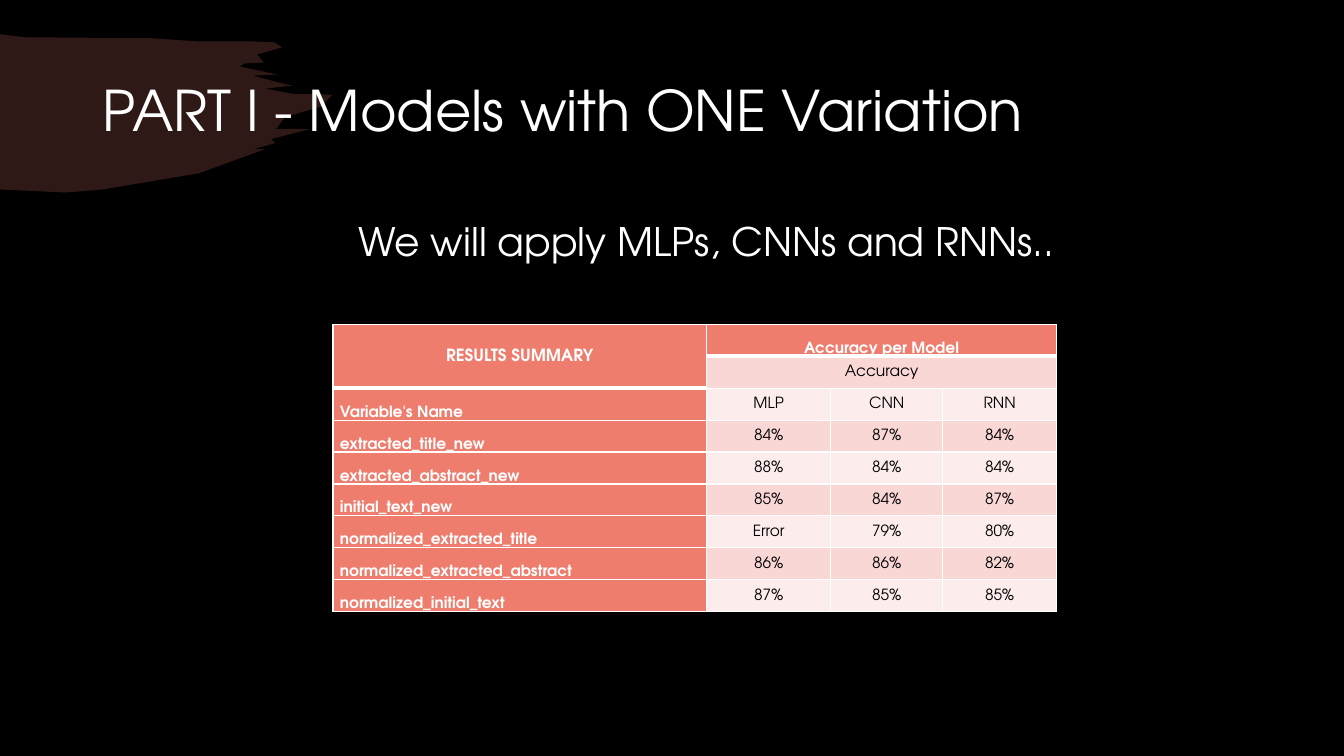
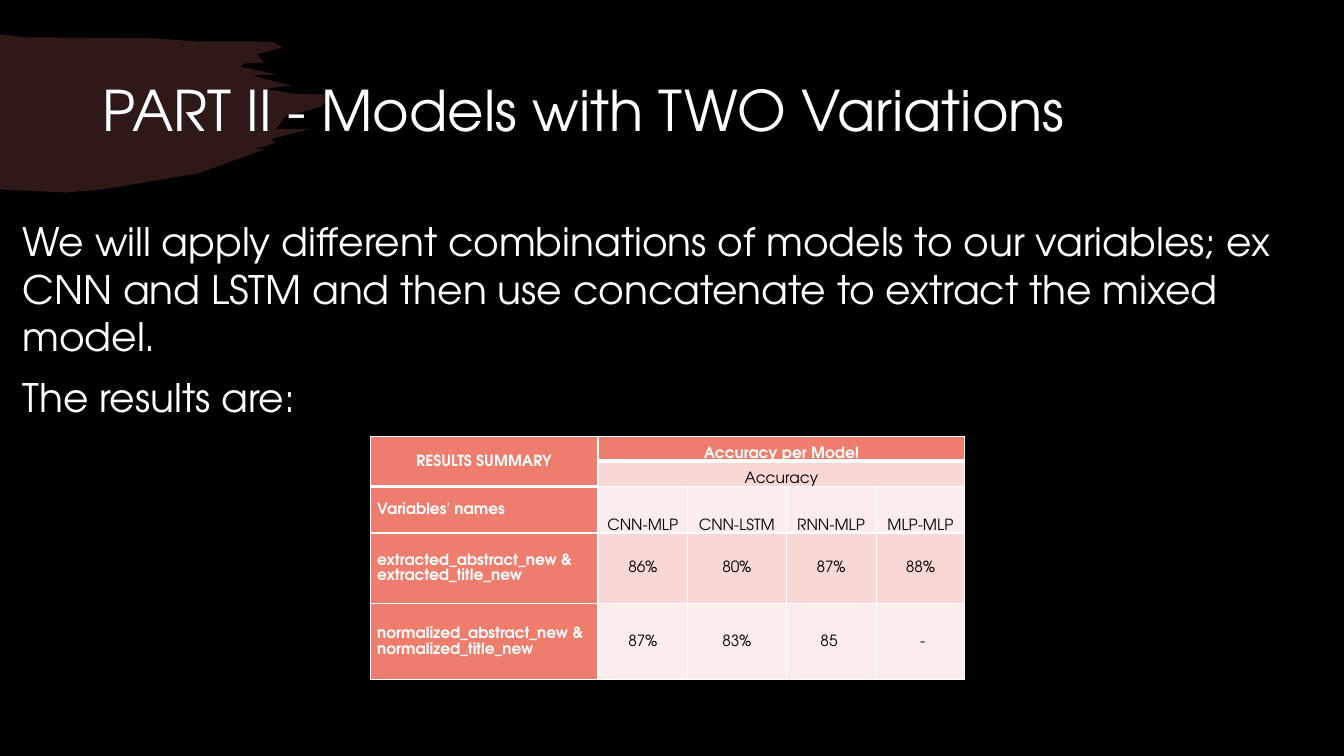
from lxml.etree import SubElement
from pptx import Presentation
from pptx.dml.color import RGBColor
from pptx.enum.text import MSO_ANCHOR, PP_ALIGN
from pptx.oxml.ns import qn
from pptx.util import Pt

BLACK = RGBColor(0x00, 0x00, 0x00)
WHITE = RGBColor(0xFF, 0xFF, 0xFF)
CORAL = RGBColor(0xEE, 0x7D, 0x6E)
ROSE = RGBColor(0xF8, 0xD7, 0xD5)
BLUSH = RGBColor(0xFC, 0xEC, 0xEB)

# Brush stroke outline in hundredths of an inch
BRUSH_UNIT = Pt(0.72)
BRUSH = [
    (0, 34), (25, 37), (151, 38), (194, 41), (248, 41), (272, 42), (280, 47),
    (255, 54), (262, 62), (243, 63), (238, 66), (275, 74), (251, 75), (273, 81),
    (290, 85), (263, 88), (290, 93), (330, 94), (318, 106), (283, 116),
    (274, 128), (308, 128), (269, 138), (273, 142), (252, 148), (263, 148),
    (197, 172), (102, 188), (65, 191), (0, 188),
]

# Formats
FONT = {"name": "TeX Gyre Adventor", "bold": False}
TITLE = {"line_spacing": 0.9}
BODY = {"space_before": Pt(10)}
CELL = {"line_spacing": 1.07, "space_after": Pt(8)}
CELL_MARGINS = {"margin_left": Pt(5), "margin_right": Pt(5), "margin_top": 0, "margin_bottom": 0}
PLAIN_TABLE = {"first_row": False, "horz_banding": False}


def apply(target, *formats):
    for values in formats:
        for name, value in values.items():
            setattr(target, name, value)


class Deck:
    def __init__(self):
        self.prs = Presentation()
        apply(self.prs, {"slide_width": Pt(960), "slide_height": Pt(540)})
        background = self.prs.slide_master.background.fill
        background.solid()
        background.fore_color.rgb = BLACK
        self.slide = None

    def new_slide(self, title):
        self.slide = self.prs.slides.add_slide(self.prs.slide_layouts[6])
        self.brush()
        self.text((66, 28.75, 828, 104.4), [title], 40, TITLE, MSO_ANCHOR.MIDDLE)

    def brush(self):
        builder = self.slide.shapes.build_freeform(*BRUSH[0], scale=BRUSH_UNIT)
        builder.add_line_segments(BRUSH[1:], close=True)
        stroke = builder.convert_to_shape()
        stroke.shadow.inherit = False
        stroke.line.fill.background()
        stroke.fill.solid()
        stroke.fill.fore_color.rgb = CORAL
        color = stroke._element.spPr.find(qn("a:solidFill")).find(qn("a:srgbClr"))
        SubElement(color, qn("a:alpha"), val="20000")

    def paragraph(self, paragraph, text, size, color, *formats, **font):
        apply(paragraph, *formats)
        run = paragraph.add_run()
        run.text = text
        apply(run.font, FONT, {"size": Pt(size)}, font)
        run.font.color.rgb = color

    def text(self, box, lines, size, style, anchor=MSO_ANCHOR.TOP, align=PP_ALIGN.LEFT):
        frame = self.slide.shapes.add_textbox(*map(Pt, box)).text_frame
        apply(frame, {"word_wrap": True, "vertical_anchor": anchor})
        for index, line in enumerate(lines):
            paragraph = frame.add_paragraph() if index else frame.paragraphs[0]
            self.paragraph(paragraph, line, size, WHITE, style, {"alignment": align})

    def borders(self, cell, bottom):
        properties = cell._tc.get_or_add_tcPr()
        for side, width in (("L", 1), ("R", 1), ("T", 1), ("B", bottom)):
            line = SubElement(properties, qn(f"a:ln{side}"), w=str(Pt(width)))
            fill = SubElement(line, qn("a:solidFill"))
            SubElement(fill, qn("a:srgbClr"), val=str(WHITE))

    def results(self, corner, widths, heights, rows, summary_size, name_anchor, head_anchor):
        """Results table: two header rows, then a name column and values."""
        size = sum(widths), sum(heights)
        table = self.slide.shapes.add_table(
            len(heights), len(widths), *map(Pt, corner + size)).table
        apply(table, PLAIN_TABLE)
        for column, width in zip(table.columns, widths):
            column.width = Pt(width)
        for row, height in zip(table.rows, heights):
            row.height = Pt(height)

        blanks = [""] * (len(widths) - 2)
        headers = [["RESULTS SUMMARY", "Accuracy per Model", *blanks], ["", "Accuracy", *blanks]]
        for r, texts in enumerate(headers + rows):
            for c, text in enumerate(texts):
                cell = table.cell(r, c)
                is_name, is_header = c == 0, r == 0 or c == 0
                self.borders(cell, 3 if r == 0 or (r == 1 and is_name) else 1)
                cell.fill.solid()
                cell.fill.fore_color.rgb = CORAL if is_header else (BLUSH, ROSE)[r % 2]
                if r == 0:
                    anchor = MSO_ANCHOR.MIDDLE if is_name else MSO_ANCHOR.BOTTOM
                elif is_name:
                    anchor = name_anchor
                else:
                    anchor = head_anchor if r < 3 else MSO_ANCHOR.MIDDLE
                apply(cell, CELL_MARGINS, {"vertical_anchor": anchor})
                if text:
                    align = PP_ALIGN.LEFT if is_name and r else PP_ALIGN.CENTER
                    self.paragraph(cell.text_frame.paragraphs[0], text,
                                   summary_size if r == c == 0 else 11,
                                   WHITE if is_header else BLACK,
                                   CELL, {"alignment": align}, bold=is_header)

        # Merged headers
        table.cell(0, 0).merge(table.cell(1, 0))
        for r in (0, 1):
            table.cell(r, 1).merge(table.cell(r, len(widths) - 1))


def main():
    deck = Deck()

    # Part I
    deck.new_slide("PART I - Models with ONE Variation")
    deck.text((90.5, 152, 828, 327.6), ["We will apply MLPs, CNNs and RNNs.."], 28, BODY,
              align=PP_ALIGN.CENTER)
    single_models = [
        ["Variable's Name", "MLP", "CNN", "RNN"],
        ["extracted_title_new", "84%", "87%", "84%"],
        ["extracted_abstract_new", "88%", "84%", "84%"],
        ["initial_text_new", "85%", "84%", "87%"],
        ["normalized_extracted_title", "Error", "79%", "80%"],
        ["normalized_extracted_abstract", "86%", "86%", "82%"],
        ["normalized_initial_text", "87%", "85%", "85%"],
    ]
    deck.results((237.8, 231.7), (267, 88.6, 80, 81.4), [22.8] * 9, single_models,
                 summary_size=12, name_anchor=MSO_ANCHOR.BOTTOM, head_anchor=MSO_ANCHOR.MIDDLE)

    # Part II
    deck.new_slide("PART II - Models with TWO Variations")
    deck.text((9, 152, 939, 365.8), [
        "We will apply different combinations of models to our variables; ex CNN and LSTM "
        "and then use concatenate to extract the mixed model.",
        "The results are:",
    ], 28, BODY)
    mixed_models = [
        ["Variables' names", "CNN-MLP", "CNN-LSTM", "RNN-MLP", "MLP-MLP"],
        ["extracted_abstract_new & extracted_title_new", "86%", "80%", "87%", "88%"],
        ["normalized_abstract_new & normalized_title_new", "87%", "83%", "85 ", " -"],
    ]
    deck.results((264.4, 311.5), (162.8, 64, 70.4, 64.3, 63.3), (18, 18, 33.3, 50.2, 54.7),
                 mixed_models, summary_size=11, name_anchor=MSO_ANCHOR.MIDDLE,
                 head_anchor=MSO_ANCHOR.BOTTOM)

    deck.prs.save("out.pptx")


if __name__ == "__main__":
    main()
